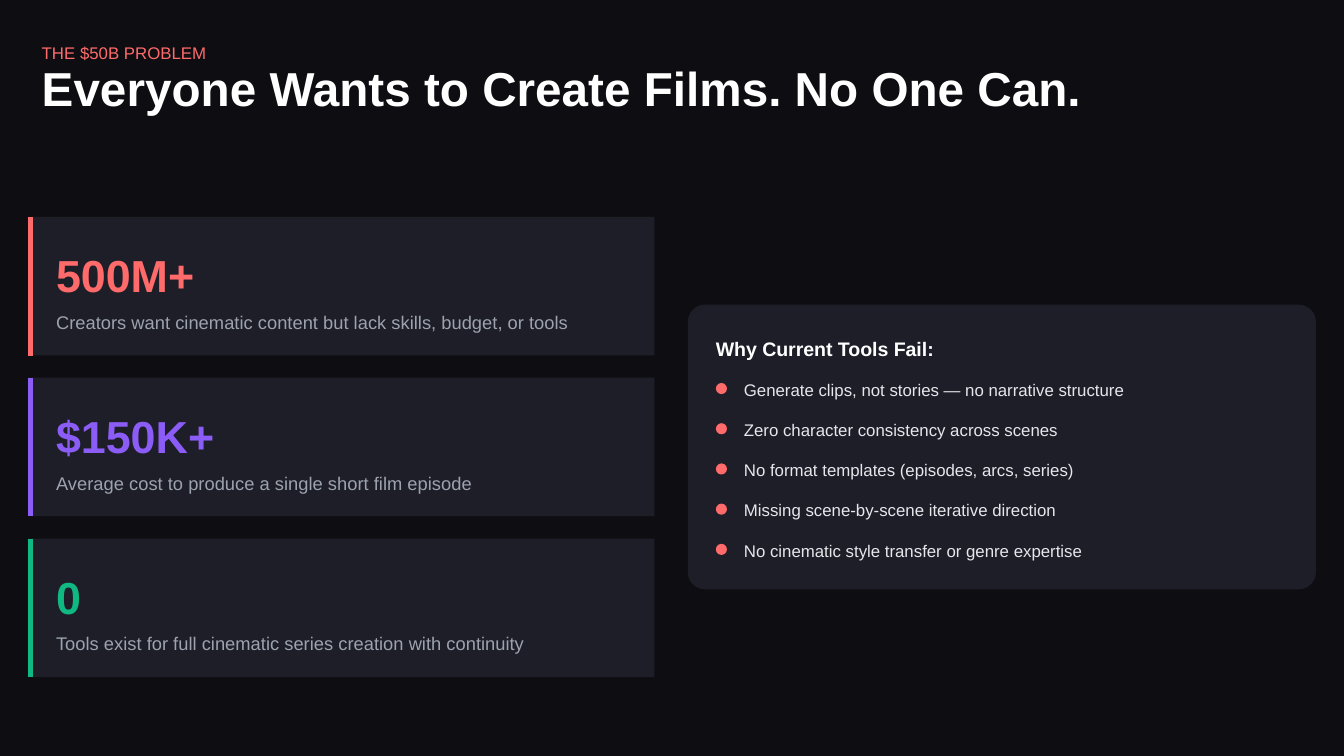
"""Build a dark slide with three stat cards and a panel of bullet points."""
from lxml.etree import SubElement
from pptx import Presentation
from pptx.dml.color import RGBColor as Rgb
from pptx.enum.shapes import MSO_CONNECTOR as Link, MSO_SHAPE as Kind
from pptx.oxml.ns import qn
from pptx.util import Cm, Pt

HUES = {
    "back": "0D0D12", "card": "1E1E28", "white": "FFFFFF", "gray": "9CA3AF",
    "pale": "E5E7EB", "red": "FF6B6B", "violet": "8B5CF6", "green": "10B981",
}
LABEL = "THE $50B PROBLEM"
TITLE = "Everyone Wants to Create Films. No One Can."
STATS = [
    ("500M+", "Creators want cinematic content but lack skills, budget, or tools", "red"),
    ("$150K+", "Average cost to produce a single short film episode", "violet"),
    ("0", "Tools exist for full cinematic series creation with continuity", "green"),
]
HEAD = "Why Current Tools Fail:"
FLAWS = [
    ("Generate clips, not stories — no narrative structure", 7.32),
    ("Zero character consistency across scenes", 6.05),
    ("No format templates (episodes, arcs, series)", 6.35),
    ("Missing scene-by-scene iterative direction", 6.02),
    ("No cinematic style transfer or genre expertise", 6.53),
]

deck = Presentation()
deck.slide_width, deck.slide_height = Cm(25.4), Cm(14.29)
slide = deck.slides.add_slide(deck.slide_layouts[6])
slide.background.fill.solid()
slide.background.fill.fore_color.rgb = Rgb.from_string(HUES["back"])


def write(text, x, y, w, h, size, hue, lead, bold=False, before=0, after=0):
    frame = slide.shapes.add_textbox(Cm(x), Cm(y), Cm(w), Cm(h)).text_frame
    frame.word_wrap = True
    frame.margin_left = frame.margin_right = 0
    frame.margin_top = frame.margin_bottom = 0
    para = frame.paragraphs[0]
    para.line_spacing = Pt(lead)
    para.space_before, para.space_after = Pt(before), Pt(after)
    run = para.add_run()
    run.text = text
    font = run.font
    font.name, font.size, font.bold = "Arial", Pt(size), bold
    font.color.rgb = Rgb.from_string(HUES[hue])


def block(kind, x, y, w, h, hue, round=None):
    shape = slide.shapes.add_shape(kind, Cm(x), Cm(y), Cm(w), Cm(h))
    shape.shadow.inherit = False
    shape.fill.solid()
    shape.fill.fore_color.rgb = Rgb.from_string(HUES[hue])
    shape.line.fill.background()
    if round is not None:
        shape.adjustments[0] = round


def stripe(x, y, h, hue):
    line = slide.shapes.add_connector(Link.STRAIGHT, Cm(x), Cm(y), Cm(x), Cm(y + h))
    line.line.width = Pt(3)
    line.line.color.rgb = Rgb.from_string(HUES[hue])
    SubElement(line._element.spPr, qn("a:effectLst"))


write(LABEL, 0.79, 0.74, 24.28, 0.43, 9, "red", 12.6, after=3)
write(TITLE, 0.79, 1.3, 20.02, 0.89, 25.5, "white", 25.5, bold=True)

for i, (stat, note, hue) in enumerate(STATS):
    top = 4.1 + i * 3.04
    block(Kind.RECTANGLE, 0.53, top, 11.84, 2.62, "card")
    stripe(0.58, top, 2.62, hue)
    write(stat, 1.06, top + 0.42, 11.1, 1.19, 24, hue, 33.6, bold=True)
    write(note, 1.06, top + 1.71, 11.1, 0.48, 9.8, "gray", 13.7, before=3)

block(Kind.ROUNDED_RECTANGLE, 13, 5.76, 11.87, 5.38, "card", 0.06)
write(HEAD, 13.53, 6.29, 11.02, 0.52, 10.5, "white", 14.7, bold=True)
for i, (flaw, width) in enumerate(FLAWS):
    top = 7.11 + i * 0.76
    block(Kind.ROUNDED_RECTANGLE, 13.53, top + 0.13, 0.21, 0.21, "red", 0.5)
    write(flaw, 14.06, top, width, 0.43, 9, "pale", 12.6)

deck.save("out.pptx")
